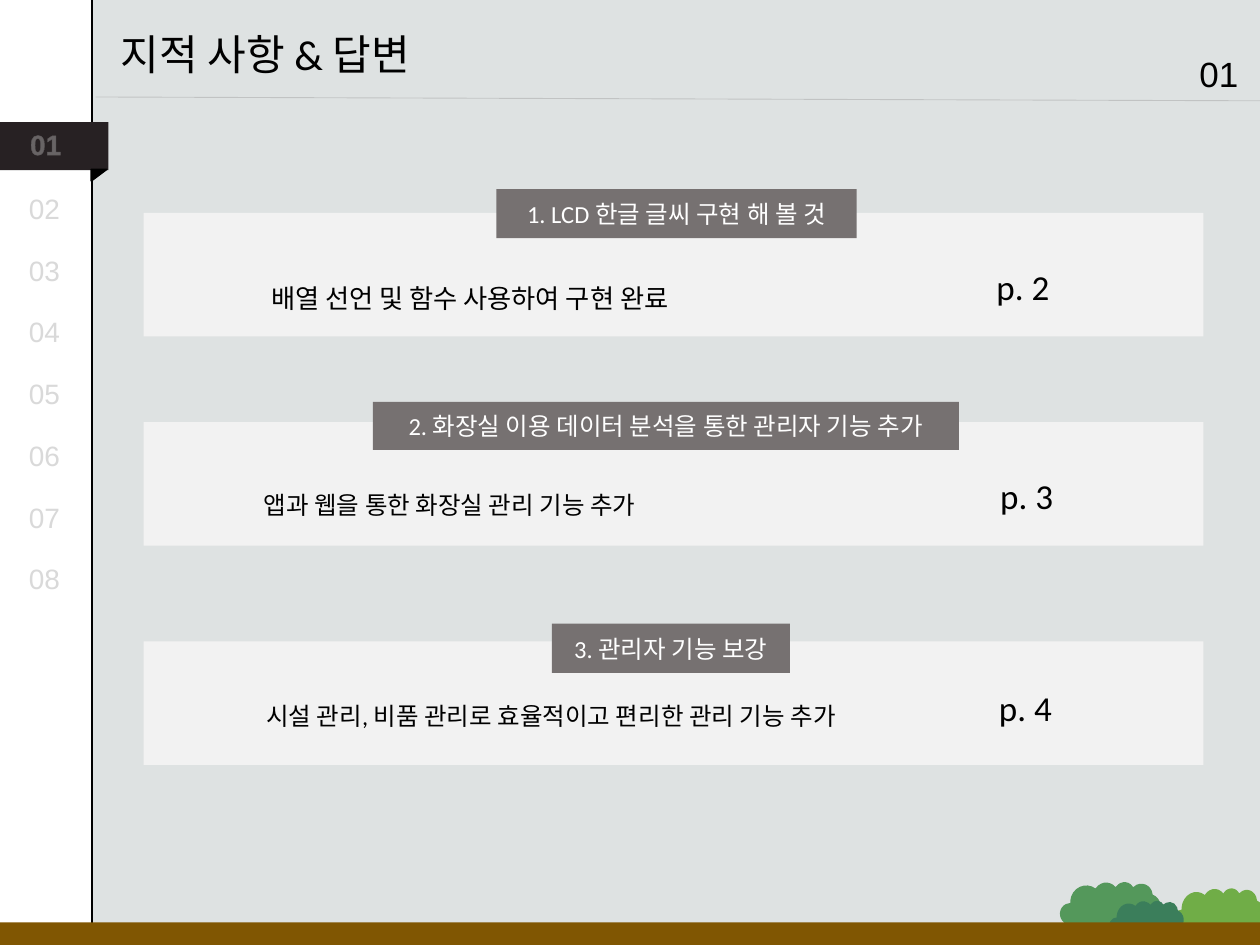
"""Build the review comments and answers slide."""
import pptx
import pptx.util
import pptx.dml.color
import pptx.enum.shapes
import pptx.enum.text
import pptx.oxml
import pptx.oxml.ns
import lxml.etree

Inches = pptx.util.Inches
SHAPES = pptx.enum.shapes.MSO_SHAPE
ALIGN = pptx.enum.text.PP_ALIGN
ANCHOR = pptx.enum.text.MSO_ANCHOR
AUTO_SIZE = pptx.enum.text.MSO_AUTO_SIZE

COLORS = {
    "background": "DEE2E2", "card": "F2F2F2", "tag": "767171", "white": "FFFFFF",
    "black": "000000", "muted": "D9D9D9", "rule": "A6A6A6", "tab": "272123",
    "ground": "805602", "lime": "70AD47", "green": "54985B", "teal": "3B7E5B",
}
TITLE = "지적 사항 & 답변"
SECTION = "01"
OTHER_SECTIONS = ["02", "03", "04", "05", "06", "07", "08"]
CARDS = [
    {"top": 1.69,
     "heading": ("1. LCD 한글 글씨 구현 해 볼 것", (3.94, 1.5, 2.86, 0.39)),
     "answer": ("배열 선언 및 함수 사용하여 구현 완료", (1.78, 2.07, 3.9, 0.43), 15, "Arial"),
     "page": ("p. 2", (7.81, 2.06, 1.2, 0.44))},
    {"top": 3.35,
     "heading": ("2. 화장실 이용 데이터 분석을 통한 관리자 기능 추가", (2.96, 3.19, 4.65, 0.38)),
     "answer": ("앱과 웹을 통한 화장실 관리 기능 추가", (1.78, 3.72, 3.58, 0.45), 14, "Calibri"),
     "page": ("p. 3", (7.84, 3.72, 1.24, 0.44))},
    {"top": 5.09,
     "heading": ("3. 관리자 기능 보강", (4.38, 4.95, 1.89, 0.39)),
     "answer": ("시설 관리, 비품 관리로 효율적이고 편리한 관리 기능 추가", (1.79, 5.4, 5.17, 0.45), 14, "Calibri"),
     "page": ("p. 4", (7.83, 5.4, 1.24, 0.44))},
]
BUSHES = [
    ("lime", (9.3, 7.04, 0.74, 0.62)),
    ("green", (8.41, 6.99, 0.81, 0.62)),
    ("teal", (8.8, 7.14, 0.6, 0.49)),
]


def rgb(name):
    return pptx.dml.color.RGBColor.from_string(COLORS[name])


def add_figure(page, kind, area, fill, line=None, rotation=0):
    figure = page.shapes.add_shape(kind, *map(Inches, area))
    figure.shadow.inherit = False
    figure.fill.solid()
    figure.fill.fore_color.rgb = rgb(fill)
    if line:
        figure.line.color.rgb = rgb(line)
        figure.line.width = pptx.util.Pt(1)
    else:
        figure.line.fill.background()
    figure.rotation = rotation
    return figure


def write(box, text, size, font, color, align=ALIGN.LEFT, spacing=None, bold=False):
    frame = box.text_frame
    frame.text = text
    frame.word_wrap = True
    frame.auto_size = AUTO_SIZE.SHAPE_TO_FIT_TEXT
    frame.vertical_anchor = ANCHOR.TOP
    para = frame.paragraphs[0]
    para.alignment = align
    if spacing:
        para.line_spacing = spacing
    span = para.runs[0]
    span.font.size = pptx.util.Pt(size)
    span.font.name = font
    span.font.bold = bold
    span.font.color.rgb = rgb(color)
    return span


def add_text(page, area, *args, **options):
    return write(page.shapes.add_textbox(*map(Inches, area)), *args, **options)


def outline_text(span, color):
    namespace = pptx.oxml.ns.nsdecls("a")
    outline = pptx.oxml.parse_xml(
        f'<a:ln {namespace} w="9525"><a:solidFill><a:srgbClr val="{COLORS[color]}">'
        '<a:alpha val="30000"/></a:srgbClr></a:solidFill><a:prstDash val="solid"/></a:ln>')
    span.font._element.insert(0, outline)


def add_rule(page):
    rule = page.shapes.add_connector(
        pptx.enum.shapes.MSO_CONNECTOR.STRAIGHT, *map(Inches, (10, 0.8, 0.76, 0.77)))
    rule.line.color.rgb = rgb("rule")
    rule.line.width = pptx.util.Pt(0.5)
    tag = pptx.oxml.ns.qn
    color = next(rule._element.spPr.iter(tag("a:srgbClr")))
    lxml.etree.SubElement(color, tag("a:alpha"), val="50000")
    lxml.etree.SubElement(rule._element.spPr, tag("a:effectLst"))


def add_sidebar(page):
    add_figure(page, SHAPES.RECTANGLE, (-0.04, -0.01, 0.77, 7.5), "white", "black")
    for index, number in enumerate(OTHER_SECTIONS):
        area = (0.13, 1.47 + 0.49 * index, 0.49, 0.37)
        outline_text(add_text(page, area, number, 16, "Arial", "muted"), "black")
    add_figure(page, SHAPES.RECTANGLE, (-0.05, 0.97, 0.91, 0.38), "tab")
    add_figure(page, SHAPES.RIGHT_TRIANGLE, (0.74, 1.33, 0.09, 0.12), "black", "black", 90)
    current = add_text(page, (0.14, 0.96, 0.59, 0.37), SECTION, 16, "Arial", "white", bold=True)
    outline_text(current, "muted")


def add_heading(page, text, area):
    tag = add_figure(page, SHAPES.RECTANGLE, area, "tag")
    write(tag, text, 14, "Calibri", "white", align=ALIGN.CENTER)
    frame = tag.text_frame
    frame.auto_size = AUTO_SIZE.NONE
    frame.vertical_anchor = ANCHOR.MIDDLE
    frame.margin_top = frame.margin_bottom = 0


def add_card(page, card):
    add_figure(page, SHAPES.RECTANGLE, (1.14, card["top"], 8.41, 0.98), "card")
    add_heading(page, *card["heading"])
    answer, area, size, font = card["answer"]
    add_text(page, area, answer, size, font, "black", align=ALIGN.CENTER, spacing=1.5)
    number, area = card["page"]
    add_text(page, area, number, 20, "Calibri", "black")


def main():
    deck = pptx.Presentation()
    deck.slide_width, deck.slide_height = Inches(10), Inches(7.5)
    page = deck.slides.add_slide(deck.slide_layouts.get_by_name("Title Only"))
    page.background.fill.solid()
    page.background.fill.fore_color.rgb = rgb("background")

    title = page.shapes.title
    title.left, title.top, title.width, title.height = map(Inches, (0.86, 0.18, 3.69, 0.5))
    write(title, TITLE, 24, "Calibri", "black")
    add_rule(page)
    add_text(page, (9.42, 0.37, 0.54, 0.44), SECTION, 20, "Arial", "black")

    add_sidebar(page)
    for color, area in BUSHES:
        add_figure(page, SHAPES.CLOUD, area, color, rotation=5.4)
    add_figure(page, SHAPES.RECTANGLE, (0, 7.32, 10, 0.18), "ground")
    for card in CARDS:
        add_card(page, card)
    deck.save("out.pptx")


if __name__ == "__main__":
    main()
